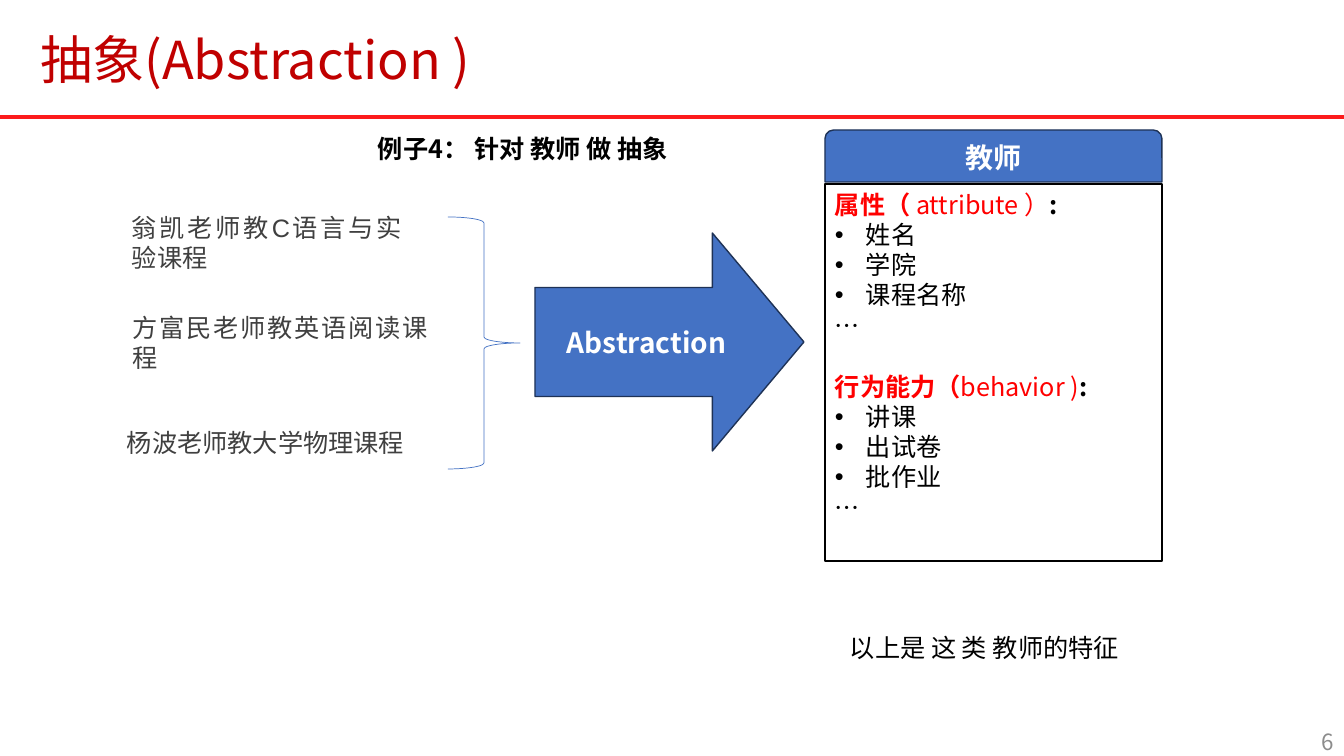
from dataclasses import dataclass

from lxml import etree
from pptx import Presentation
from pptx.dml.color import RGBColor
from pptx.enum.shapes import MSO_CONNECTOR, MSO_SHAPE
from pptx.enum.text import MSO_ANCHOR, MSO_AUTO_SIZE, PP_ALIGN
from pptx.oxml.ns import qn
from pptx.util import Emu, Pt

LEFT, CENTER, RIGHT, JUSTIFY = PP_ALIGN.LEFT, PP_ALIGN.CENTER, PP_ALIGN.RIGHT, PP_ALIGN.JUSTIFY
TOP, MIDDLE = MSO_ANCHOR.TOP, MSO_ANCHOR.MIDDLE
NO_FIT, STRAIGHT = MSO_AUTO_SIZE.NONE, MSO_CONNECTOR.STRAIGHT
RECT, TAB = MSO_SHAPE.RECTANGLE, MSO_SHAPE.ROUND_2_SAME_RECTANGLE
ARROW, BRACE = MSO_SHAPE.RIGHT_ARROW, MSO_SHAPE.RIGHT_BRACE


@dataclass(frozen=True)
class Theme:
    font: str = "Noto Sans CJK SC"
    latin: str = "Arial"
    title: str = "C00000"
    rule: str = "FC1B1C"
    blue: str = "4472C4"
    edge: str = "1E3256"
    black: str = "000000"
    white: str = "FFFFFF"
    red: str = "FF0000"
    gray: str = "404040"
    pale: str = "8C8C8C"
    title_size: float = 37.3
    label_size: int = 20
    body_size: int = 18
    page_size: int = 16


THEME = Theme()


def px(n):
    return Emu(round(n * 914400 / 100.8))


def rgb(color):
    return RGBColor.from_string(color)


def write(p, text, size=THEME.body_size, color=THEME.black, bold=False, font=THEME.font):
    r = p.add_run()
    r.text = text
    r.font.size = Pt(size)
    r.font.bold = bold
    r.font.color.rgb = rgb(color)
    r.font.name = font
    ea = etree.SubElement(r.font._element, qn("a:ea"))
    ea.set("typeface", THEME.font)


class Deck:
    def __init__(self, theme):
        self.theme = theme
        self.prs = Presentation()
        self.prs.slide_width, self.prs.slide_height = px(1344), px(756)
        self.s = self.prs.slides.add_slide(self.prs.slide_layouts[5])

    def title(self, text, x, y, w, h):
        sp = self.s.shapes.title
        sp.left, sp.top, sp.width, sp.height = px(x), px(y), px(w), px(h)
        tf = sp.text_frame
        tf.auto_size = NO_FIT
        tf.vertical_anchor = MIDDLE
        tf.margin_left = tf.margin_right = tf.margin_top = tf.margin_bottom = 0
        p = tf.paragraphs[0]
        p.alignment, p.line_spacing = LEFT, 0.9
        write(p, text, self.theme.title_size, self.theme.title)

    def rule(self, x1, y1, x2, y2, color, weight):
        cx = self.s.shapes.add_connector(STRAIGHT, px(x1), px(y1), px(x2), px(y2))
        cx.line.color.rgb = rgb(color)
        cx.line.width = Pt(weight)
        etree.SubElement(cx._element.spPr, qn("a:effectLst"))

    def shape(self, kind, x, y, w, h, line, weight=1, fill=None, adj=()):
        sp = self.s.shapes.add_shape(kind, px(x), px(y), px(w), px(h))
        sp.shadow.inherit = False
        for i, value in enumerate(adj):
            sp.adjustments[i] = value
        if fill:
            sp.fill.solid()
            sp.fill.fore_color.rgb = rgb(fill)
        else:
            sp.fill.background()
        sp.line.color.rgb = rgb(line)
        sp.line.width = Pt(weight)
        return sp

    def label(self, sp, text):
        tf = sp.text_frame
        tf.vertical_anchor = MIDDLE
        p = tf.paragraphs[0]
        p.alignment = CENTER
        write(p, text, self.theme.label_size, self.theme.white, bold=True)

    def text(self, text, x, y, w, h, align=LEFT, anchor=TOP, **fmt):
        sp = self.s.shapes.add_textbox(px(x), px(y), px(w), px(h))
        tf = sp.text_frame
        tf.word_wrap = True
        tf.vertical_anchor = anchor
        p = tf.paragraphs[0]
        p.alignment = align
        write(p, text, **fmt)

    def bullet(self, p):
        pPr = p._p.get_or_add_pPr()
        pPr.set("marL", str(px(31)))
        pPr.set("indent", str(-px(31)))
        etree.SubElement(pPr, qn("a:buFont")).set("typeface", self.theme.latin)
        etree.SubElement(pPr, qn("a:buChar")).set("char", "•")

    def sections(self, sp, sections):
        tf = sp.text_frame
        tf.vertical_anchor = TOP
        for i, (name, term, colon, items) in enumerate(sections):
            p = tf.add_paragraph() if i else tf.paragraphs[0]
            p.alignment = LEFT
            p.space_before = Pt(22 if i else 0)
            write(p, name, color=self.theme.red, bold=True)
            write(p, term, color=self.theme.red)
            write(p, colon, bold=True)
            for item in items:
                p = tf.add_paragraph()
                p.alignment = LEFT
                self.bullet(p)
                write(p, item)
            p = tf.add_paragraph()
            p.alignment = LEFT
            write(p, "…")


def main():
    t = THEME
    deck = Deck(t)
    deck.title("抽象(Abstraction )", 40, 13, 1295, 99)
    deck.rule(0, 117, 1344, 117, t.rule, 3)

    deck.text("例子4： 针对 教师 做 抽象", 368, 128, 320, 40, bold=True)
    teachers = [
        ("翁凯老师教C语言与实验课程", 122, 207, 290, 72),
        ("方富民老师教英语阅读课程", 123, 307, 315, 72),
        ("杨波老师教大学物理课程", 117, 422, 315, 40),
    ]
    for text, x, y, w, h in teachers:
        deck.text(text, x, y, w, h, align=JUSTIFY, color=t.gray, font=t.latin)

    deck.shape(BRACE, 448, 217, 72, 252, t.blue, 0.5, adj=(0.083, 0.5))
    arrow = deck.shape(ARROW, 535, 233, 269, 218, t.edge, fill=t.blue, adj=(0.5, 0.42))
    deck.label(arrow, "Abstraction")

    card = deck.shape(RECT, 825, 184, 337, 377, t.black, fill=t.white)
    deck.sections(card, [
        ("属性（", " attribute ）", ":", ["姓名", "学院", "课程名称"]),
        ("行为能力（", "behavior )", ":", ["讲课", "出试卷", "批作业"]),
    ])
    header = deck.shape(TAB, 825, 130, 337, 52, t.edge, fill=t.blue)
    deck.label(header, "教师")

    deck.text("以上是 这 类 教师的特征", 840, 627, 295, 40)
    deck.text("6", 1239, 728, 105, 28, align=RIGHT, anchor=MIDDLE, size=t.page_size, color=t.pale)
    deck.prs.save("out.pptx")


if __name__ == "__main__":
    main()
